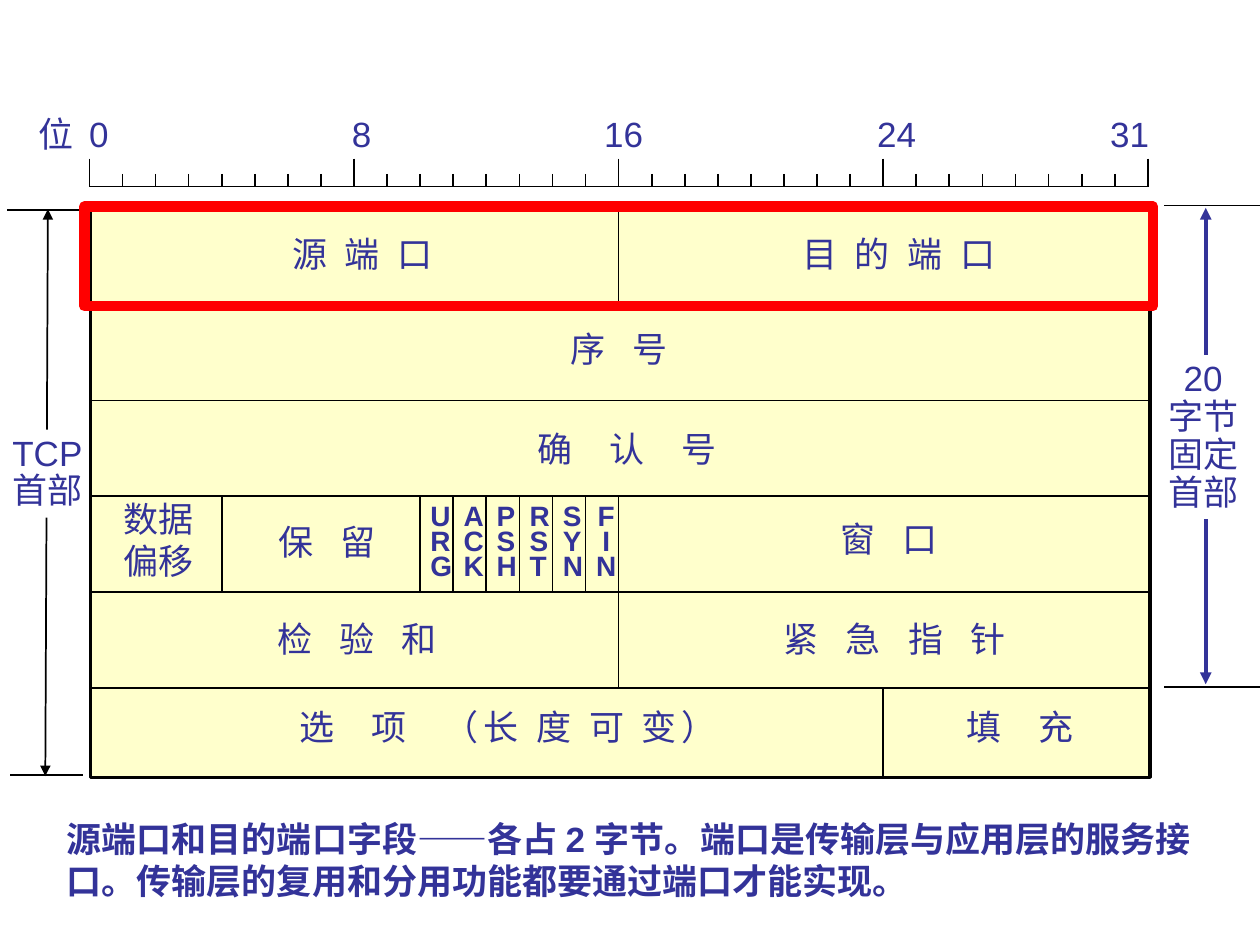
from lxml.etree import SubElement
from pptx import Presentation
from pptx.dml.color import RGBColor
from pptx.enum.shapes import MSO_CONNECTOR as Conn, MSO_SHAPE as Kind
from pptx.enum.text import PP_ALIGN as Align
from pptx.oxml.ns import qn
from pptx.util import Pt

BLUE = RGBColor(0x33, 0x33, 0x99)
BLACK = RGBColor(0, 0, 0)
WHITE = RGBColor(0xFF, 0xFF, 0xFF)
CREAM = RGBColor(0xFF, 0xFF, 0xCC)
RED = RGBColor(0xFF, 0, 0)
FONT = "Arial"
SPACE = 2.78  # half the width of a 20 pt Arial space

# Header fields: left, top, width, then (text, letter gap in spaces) runs
FIELDS = [
    (159.8, 129.6, 92.2, [("源 端 口", 2)]),
    (451.4, 129.6, 121.7, [("目 的 端 口", 2)]),
    (319, 183.6, 108.7, [("序 号", 3)]),
    (300.2, 240.5, 144.7, [("确 认 号", 4)]),
    (151.9, 293.8, 67.7, [("保 留", 3)]),
    (473, 292.3, 67.7, [("窗 口", 3)]),
    (151.2, 349.2, 101.5, [("检 验 和", 3)]),
    (440.6, 349.2, 134.6, [("紧 急 指 针", 3)]),
    (164.2, 399.6, 252, [("选 项 ", 4), ("（长 度 可 变）", 2)]),
    (545, 399.6, 98.6, [("填 充", 4)]),
]
OFFSET = ["数据", "偏移"]
FLAGS = ["URG", "ACK", "PSH", "RST", "SYN", "FIN"]
# Ruler labels: text, tab stop, tab alignment
MARKS = [("0", 28.8, "l"), ("8", 184.5, "ctr"), ("16", 334.2, "ctr"),
         ("24", 490.2, "ctr"), ("31", 623.4, "ctr")]
NOTE = ("源端口和目的端口字段——各占 2 字节。端口是传输层与应用层的服务接口。"
        "传输层的复用和分用功能都要通过端口才能实现。")

LEFT, BIT = 51.1, 18.9
ROWS = [119.2] + [174.2 + 54.7 * i for i in range(5)] + [444.2]
BASE = 106.6  # ruler base line
# Field borders: bit, first row, last row
BORDERS = [(16, 0, 1), (16, 3, 5), (24, 5, 6)] + [
    (bit, 3, 4) for bit in (4, *range(10, 16))]
# Lines that bound the two measures: x1, x2, y
BOUNDS = [(665.3, 730.8, 117.4), (665.3, 730.8, 392.4),
          (4.3, 46.1, 120.2), (5.8, 47.5, 442.8)]

deck = Presentation()
deck.slide_width, deck.slide_height = Pt(720), Pt(540)
slide = deck.slides.add_slide(deck.slide_layouts[6])
shapes = slide.shapes


def bit_x(bit):
    return LEFT + BIT * bit


def line(x1, y1, x2, y2, color=BLACK, width=1, arrows=False):
    item = shapes.add_connector(Conn.STRAIGHT, Pt(x1), Pt(y1), Pt(x2), Pt(y2))
    item.line.color.rgb = color
    item.line.width = Pt(width)
    if arrows:
        pen = item.line._get_or_add_ln()
        for end in ("a:headEnd", "a:tailEnd"):
            SubElement(pen, qn(end), type="triangle")
    SubElement(item._element.spPr, qn("a:effectLst"))


def frame(x, y, w, h, color, width, fill=None):
    item = shapes.add_shape(Kind.RECTANGLE, Pt(x), Pt(y), Pt(w), Pt(h))
    item.shadow.inherit = False
    item.line.color.rgb = color
    item.line.width = Pt(width)
    if fill is None:
        item.fill.background()
    else:
        item.fill.solid()
        item.fill.fore_color.rgb = fill


def label(x, y, w, h, paras, size=20, bold=False, align=Align.LEFT,
          leading=None, fill=None):
    """Add a text box; each paragraph is a list of (text, letter gap) runs."""
    box = shapes.add_textbox(Pt(x), Pt(y), Pt(w), Pt(h))
    if fill is not None:
        box.fill.solid()
        box.fill.fore_color.rgb = fill
    body = box.text_frame
    body.word_wrap = True
    if align == Align.LEFT:
        body.margin_right = 0
    for i, runs in enumerate(paras):
        para = body.paragraphs[0] if i == 0 else body.add_paragraph()
        para.alignment = align
        if leading:
            para.line_spacing = leading
        for text, gap in runs:
            run = para.add_run()
            run.text = text
            run.font.name, run.font.size = FONT, Pt(size)
            run.font.bold = bold
            run.font.color.rgb = BLUE
            if gap > 1:
                props = run._r.get_or_add_rPr()
                props.set("spc", str(round(SPACE * (gap - 1) * 100)))
    return box


def plain(lines):
    return [[(text, 1)] for text in lines]


# Total length and fixed length
line(27.4, 119.5, 25.9, 443.5, arrows=True)
label(0, 245.5, 54.7, 50.4, plain(["TCP", "首部"]), leading=0.9, fill=WHITE)
line(689, 118.8, 689, 391, BLUE, 2.25, arrows=True)
label(660.2, 203, 54.7, 93.6, plain(["20", "字节", "固定", "首部"]),
      align=Align.CENTER, leading=0.9, fill=WHITE)
for x1, x2, y in BOUNDS:
    line(x1, y, x2, y)

# Header grid
frame(51.8, ROWS[0], 605.5, ROWS[-1] - ROWS[0], BLACK, 2, CREAM)
for y in ROWS[1:-1]:
    line(LEFT, y, 657.4, y)
for bit, top, end in BORDERS:
    line(bit_x(bit), ROWS[top], bit_x(bit), ROWS[end])

# Header texts
for x, y, w, runs in FIELDS:
    label(x, y, w, 31, [runs])
label(63.4, 280.8, 54.7, 54.7, plain(OFFSET))
for i, flag in enumerate(FLAGS):
    side = Align.CENTER if flag == "FIN" else Align.LEFT
    label(bit_x(10 + i) - 1.2, 285.8, 26, 50.4, plain(flag), 16, True,
          side, 0.75)

# Bit ruler
line(LEFT, BASE, bit_x(32), BASE)
for bit in range(33):
    tall = 15.9 if bit % 8 == 0 else 7.2
    line(bit_x(bit), BASE - tall, bit_x(bit), BASE)
ruler = label(15.1, 60.5, 651, 31,
              [[("位", 1)] + [("\t" + text, 1) for text, _, _ in MARKS]])
stops = SubElement(ruler.text_frame.paragraphs[0]._p.get_or_add_pPr(),
                   qn("a:tabLst"))
for _, pos, side in MARKS:
    SubElement(stops, qn("a:tab"), pos=str(int(Pt(pos))), algn=side)

label(31, 463.7, 663.1, 55.4, plain([NOTE]), bold=True)
frame(48.2, 118.1, 610.6, 56.9, RED, 6)

deck.save("out.pptx")
